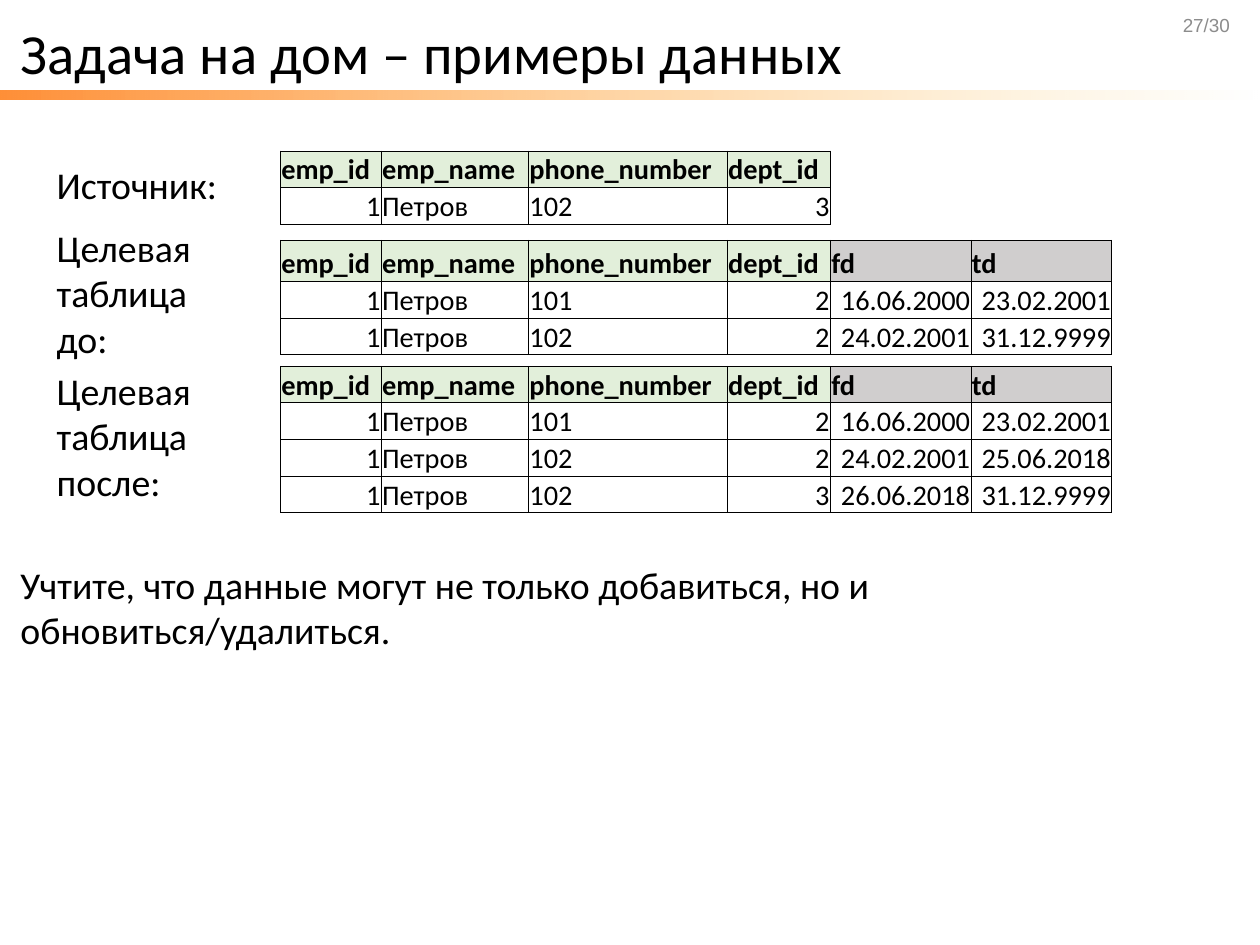
from lxml import etree
from pptx import Presentation
from pptx import util as u
from pptx.dml.color import RGBColor
from pptx.enum import shapes, text
from pptx.oxml.ns import qn

COLORS = {
    "text": "000000",
    "page": "8C8C8C",
    "border": "000000",
    "key": "E2EFDA",
    "period": "D0CECE",
    "bar_start": "FF9038",
    "bar_end": "FECC67",
}
COLUMNS = [
    ("emp_id", 2.26, "key"),
    ("emp_name", 3.3, "key"),
    ("phone_number", 4.45, "key"),
    ("dept_id", 2.31, "key"),
    ("fd", 3.15, "period"),
    ("td", 3.15, "period"),
]
LEFT_ALIGNED = {"emp_name", "phone_number"}
ROW_H = 0.82


def rgb(name):
    return RGBColor.from_string(COLORS[name])


class Deck:
    font = "Calibri"

    def __init__(self, width, height):
        self.prs = Presentation()
        self.prs.slide_width, self.prs.slide_height = u.Cm(width), u.Cm(height)
        self.s = self.prs.slides.add_slide(self.prs.slide_layouts[6])

    def set_text(self, tf, words, size, bold=False, color="text", font=None,
                 align=text.PP_ALIGN.LEFT):
        tf.text = words
        p = tf.paragraphs[0]
        p.alignment = align
        r = p.runs[0]
        r.font.name = font or self.font
        r.font.size = u.Pt(size)
        r.font.bold = bold
        r.font.color.rgb = rgb(color)

    def label(self, words, x, y, w, h, size=24, **style):
        sp = self.s.shapes.add_textbox(u.Cm(x), u.Cm(y), u.Cm(w), u.Cm(h))
        tf = sp.text_frame
        tf.word_wrap = True
        tf.margin_left = tf.margin_right = tf.margin_top = tf.margin_bottom = 0
        self.set_text(tf, words, size, **style)
        return sp

    def fading_bar(self, x, y, w, h):
        sp = self.s.shapes.add_shape(
            shapes.MSO_SHAPE.RECTANGLE, u.Cm(x), u.Cm(y), u.Cm(w), u.Cm(h))
        sp.shadow.inherit = False
        sp.line.fill.background()
        sp.fill.gradient()
        sp.fill.gradient_angle = 0
        for stop, name in zip(sp.fill.gradient_stops, ("bar_start", "bar_end")):
            stop.color.rgb = rgb(name)
        end = list(sp._element.spPr.iter(qn("a:srgbClr")))[-1]
        etree.SubElement(end, qn("a:alpha"), val="0")

    def borders(self, cell):
        tcPr = cell._tc.get_or_add_tcPr()
        for side in ("lnL", "lnR", "lnT", "lnB"):
            ln = etree.SubElement(tcPr, qn(f"a:{side}"), w=str(u.Pt(0.5)))
            fill = etree.SubElement(ln, qn("a:solidFill"))
            etree.SubElement(fill, qn("a:srgbClr"), val=COLORS["border"])

    def table(self, x, y, rows, header_h=ROW_H):
        columns = COLUMNS[:len(rows[0])]
        width = sum(w for _, w, _ in columns)
        height = header_h + ROW_H * len(rows)
        table = self.s.shapes.add_table(
            len(rows) + 1, len(columns), u.Cm(x), u.Cm(y), u.Cm(width), u.Cm(height)).table
        table.first_row = table.horz_banding = False
        for i in range(len(rows) + 1):
            table.rows[i].height = u.Cm(ROW_H if i else header_h)
        for j, (name, w, shade) in enumerate(columns):
            table.columns[j].width = u.Cm(w)
            for i, words in enumerate([name] + [row[j] for row in rows]):
                cell = table.cell(i, j)
                cell.margin_left = cell.margin_right = cell.margin_top = u.Cm(0.02)
                cell.margin_bottom = 0
                cell.vertical_anchor = text.MSO_ANCHOR.BOTTOM
                self.borders(cell)
                if i == 0:
                    cell.fill.solid()
                    cell.fill.fore_color.rgb = rgb(shade)
                else:
                    cell.fill.background()
                right = i > 0 and name not in LEFT_ALIGNED
                self.set_text(cell.text_frame, words, 18, bold=i == 0,
                              align=text.PP_ALIGN.RIGHT if right else text.PP_ALIGN.LEFT)


deck = Deck(28.22, 21.16)
deck.fading_bar(0, 2.03, 28.22, 0.21)
deck.label("Задача на дом – примеры данных", 0.46, 0.41, 24.5, 1.6, size=36)
page = deck.label("27/30", 25.9, 0, 2.24, 1.12, size=12, color="page", font="Arial",
                  align=text.PP_ALIGN.CENTER)
page.text_frame.vertical_anchor = text.MSO_ANCHOR.MIDDLE

first = ["1", "Петров", "101", "2", "16.06.2000", "23.02.2001"]
second = ["1", "Петров", "102", "2", "24.02.2001"]
source = ["1", "Петров", "102", "3"]
open_end = "31.12.9999"

deck.table(6.28, 3.38, [source])
deck.table(6.28, 5.38, [first, second + [open_end]], header_h=0.92)
deck.table(6.28, 8.2, [first, second + ["25.06.2018"], source + ["26.06.2018", open_end]])

for words, y, h in [
    ("Источник:", 3.63, 1.14),
    ("Целевая таблица до:", 5.03, 3.25),
    ("Целевая таблица после:", 8.23, 3.25),
]:
    deck.label(words, 1.27, y, 3.81, h)

deck.label("Учтите, что данные могут не только добавиться, но и обновиться/удалиться.",
           0.46, 12.57, 25.5, 2.26)

deck.prs.save("out.pptx")
